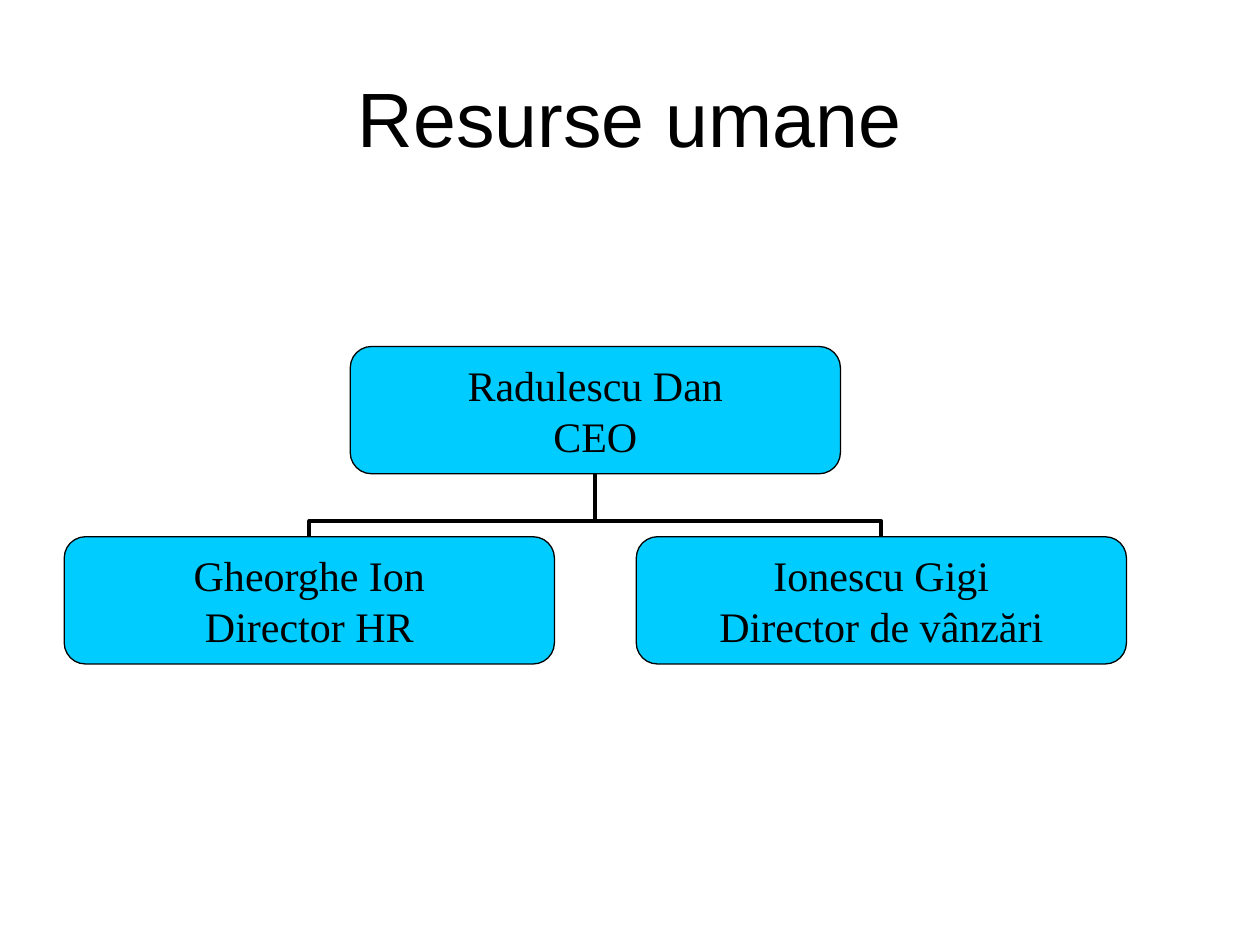
from lxml.etree import SubElement
from pptx import Presentation
from pptx.dml.color import RGBColor
from pptx.enum.shapes import MSO_CONNECTOR as Connector, MSO_SHAPE as Shape
from pptx.enum.text import MSO_ANCHOR as Anchor, PP_ALIGN as Align
from pptx.oxml.ns import qn
from pptx.util import Inches, Pt

BLACK = RGBColor(0x00, 0x00, 0x00)
CYAN = RGBColor(0x00, 0xCC, 0xFF)
BOX_WIDTH, BOX_HEIGHT = 3.89, 1.01
CHIEF_LEFT, CHIEF_TOP = 2.78, 2.75
REPORT_TOP = 4.26
REPORT_OFFSET = 2.27
BEND = 24700


def write_text(frame, text, font, size):
    """Fill a frame with centred black paragraphs."""
    frame.text = text
    frame.vertical_anchor = Anchor.MIDDLE
    for para in frame.paragraphs:
        para.alignment = Align.CENTER
        for span in para.runs:
            span.font.name = font
            span.font.size = Pt(size)
            span.font.color.rgb = BLACK


def add_title(page, text):
    """Add the slide title."""
    box = page.shapes.add_textbox(Inches(0.5), Inches(0.3), Inches(9), Inches(1.25))
    box.text_frame.word_wrap = True
    write_text(box.text_frame, text, "Arial", 44)


def add_person(chart, left, top, text):
    """Add a rounded box with a name and a job title."""
    box = chart.shapes.add_shape(Shape.ROUNDED_RECTANGLE, Inches(left), Inches(top),
                                 Inches(BOX_WIDTH), Inches(BOX_HEIGHT))
    box.shadow.inherit = False
    box.fill.solid()
    box.fill.fore_color.rgb = CYAN
    box.line.color.rgb = BLACK
    box.line.width = Pt(0.75)
    frame = box.text_frame
    frame.margin_left = frame.margin_right = frame.margin_top = frame.margin_bottom = 0
    frame.word_wrap = False
    write_text(frame, text, "Times New Roman", 24)


def add_branch(chart, side):
    """Add an elbow from a report up to the chief; side is -1 for left, 1 for right."""
    bottom = CHIEF_TOP + BOX_HEIGHT
    center_x = CHIEF_LEFT + BOX_WIDTH / 2 + side * REPORT_OFFSET / 2
    center_y = (bottom + REPORT_TOP) / 2
    half_rise = (REPORT_TOP - bottom) / 2
    half_run = REPORT_OFFSET / 2
    branch = chart.shapes.add_connector(
        Connector.ELBOW,
        Inches(center_x - side * half_rise), Inches(center_y + half_run),
        Inches(center_x + side * half_rise), Inches(center_y - half_run))
    branch.line.color.rgb = BLACK
    branch.line.width = Pt(2.25)
    properties = branch._element.spPr
    properties.find(qn("a:xfrm")).set("rot", str((270 if side > 0 else 90) * 60000))
    guides = properties.find(qn("a:prstGeom")).find(qn("a:avLst"))
    SubElement(guides, qn("a:gd"), name="adj1", fmla=f"val {BEND}")
    SubElement(properties, qn("a:effectLst"))


def main():
    """Build the organisation chart slide."""
    deck = Presentation()
    deck.slide_width, deck.slide_height = Inches(10), Inches(7.5)
    page = deck.slides.add_slide(deck.slide_layouts[6])
    add_title(page, "Resurse umane")
    chart = page.shapes.add_group_shape()
    for side in (1, -1):
        add_branch(chart, side)
    add_person(chart, CHIEF_LEFT, CHIEF_TOP, "Radulescu Dan\nCEO")
    reports = ((-1, "Gheorghe Ion\nDirector HR"), (1, "Ionescu Gigi\nDirector de vânzări"))
    for side, text in reports:
        add_person(chart, CHIEF_LEFT + side * REPORT_OFFSET, REPORT_TOP, text)
    deck.save("out.pptx")


if __name__ == "__main__":
    main()
